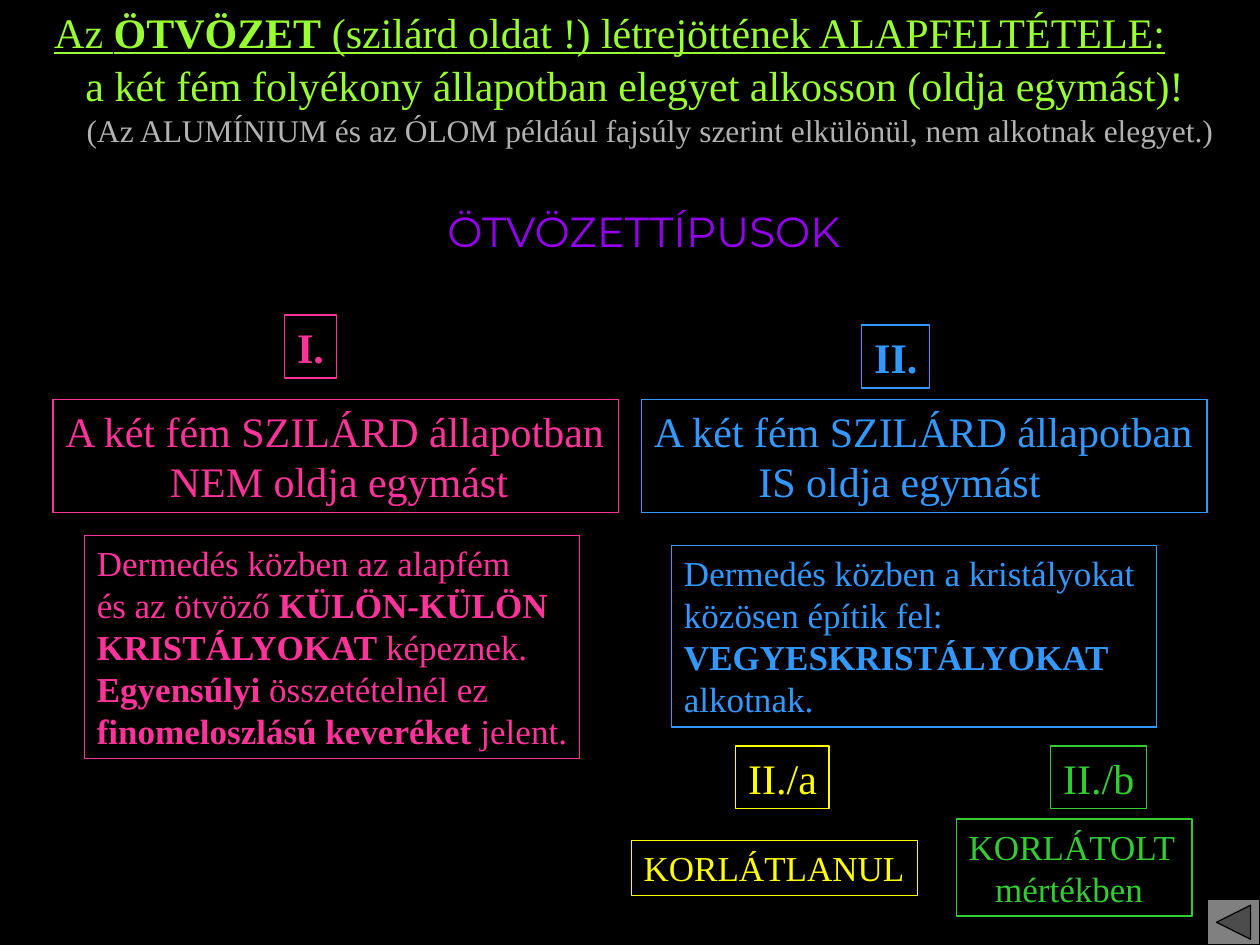
from pptx import Presentation
from pptx.dml.color import RGBColor
from pptx.enum.shapes import MSO_SHAPE
from pptx.enum.text import MSO_ANCHOR, MSO_AUTO_SIZE, PP_ALIGN
from pptx.util import Inches, Pt

THEME = {
    "background": "000000", "lime": "99FF33", "grey": "B2B2B2",
    "pink": "FF3399", "blue": "3399FF", "yellow": "FFFF00", "green": "33CC33",
    "violet": "9400ED", "deep_blue": "0000FF",
    "button": "808080", "button_line": "000000",
    "font": "Times New Roman", "heading_font": "Montserrat",
    "large": 24, "medium": 20, "small": 18, "line": 0.75,
}

# Text between ** marks is bold
TITLE = ["Az **ÖTVÖZET** (szilárd oldat !) létrejöttének ALAPFELTÉTELE:"]
TITLE_PLACE = (0.33, 0, 9.15, 0.5)
HEADING = ["ÖTVÖZETTÍPUSOK"]
HEADING_PLACE = (2.5, 1.58, 5.22, 0.71)
BUTTON_PLACE = (9.58, 7.14, 0.42, 0.36)

# Place, colour, size, lines
NOTES = [
    ((0.58, 0.42, 8.98, 0.5), "lime", "large",
     ["a két fém folyékony állapotban elegyet alkosson (oldja egymást)!"]),
    ((0.59, 0.83, 9.16, 0.4), "grey", "small",
     ["(Az ALUMÍNIUM és az ÓLOM például fajsúly szerint elkülönül, nem alkotnak elegyet.)"]),
]

# Place, colour, size, lines, indent of the second line
BOXES = [
    ((2.26, 2.5, 0.41, 0.5), "pink", "large", ["**I.**"], 0),
    ((0.42, 3.17, 4.49, 0.9), "pink", "large",
     ["A két fém SZILÁRD állapotban", "NEM oldja egymást"], 0.83),
    ((0.67, 4.25, 3.93, 1.77), "pink", "medium",
     ["Dermedés közben az alapfém",
      "és az ötvöző **KÜLÖN-KÜLÖN**",
      "**KRISTÁLYOKAT** képeznek.",
      "**Egyensúlyi** összetételnél ez",
      "**finomeloszlású keveréket** jelent."], 0),
    ((6.84, 2.58, 0.54, 0.5), "blue", "large", ["**II.**"], 0),
    ((5.09, 3.17, 4.49, 0.9), "blue", "large",
     ["A két fém SZILÁRD állapotban", "IS oldja egymást"], 0.83),
    ((5.33, 4.33, 3.85, 1.44), "blue", "medium",
     ["Dermedés közben a kristályokat", "közösen építik fel:",
      "**VEGYESKRISTÁLYOKAT**", "alkotnak."], 0),
    ((5.84, 5.92, 0.74, 0.5), "yellow", "large", ["II./a"], 0),
    ((5.01, 6.67, 2.27, 0.44), "yellow", "medium", ["KORLÁTLANUL"], 0),
    ((8.34, 5.92, 0.76, 0.5), "green", "large", ["II./b"], 0),
    ((7.59, 6.5, 1.87, 0.77), "green", "medium", ["KORLÁTOLT", "mértékben"], 0.21),
]


def color(name):
    return RGBColor.from_string(THEME[name])


def inches(place):
    return [Inches(length) for length in place]


def write(shape, lines, color_name, size, font="font", align=PP_ALIGN.LEFT, indent=0):
    frame = shape.text_frame
    frame.word_wrap = True
    frame.auto_size = MSO_AUTO_SIZE.NONE
    frame.vertical_anchor = MSO_ANCHOR.TOP
    frame.margin_left = Inches(0.1)
    # Left-aligned lines fit their boxes closely, so leave them slack on the right
    frame.margin_right = 0 if align == PP_ALIGN.LEFT else Inches(0.1)
    frame.margin_top = frame.margin_bottom = Inches(0.05)
    for index, line in enumerate(lines):
        paragraph = frame.paragraphs[0] if index == 0 else frame.add_paragraph()
        paragraph.alignment = align
        if index == 1 and indent:
            paragraph._p.get_or_add_pPr().set("marL", str(Inches(indent)))
        for position, part in enumerate(line.split("**")):
            if part:
                run = paragraph.add_run()
                run.text = part
                run.font.name = THEME[font]
                run.font.size = Pt(THEME[size])
                run.font.bold = position % 2 == 1
                run.font.color.rgb = color(color_name)


def add_box(slide, place, color_name, size, lines, indent):
    box = slide.shapes.add_shape(MSO_SHAPE.RECTANGLE, *inches(place))
    box.shadow.inherit = False
    box.fill.background()
    box.line.color.rgb = color(color_name)
    box.line.width = Pt(THEME["line"])
    write(box, lines, color_name, size, indent=indent)


def main():
    presentation = Presentation()
    presentation.slide_width, presentation.slide_height = Inches(10), Inches(7.5)
    slide = presentation.slides.add_slide(presentation.slide_layouts[5])
    slide.background.fill.solid()
    slide.background.fill.fore_color.rgb = color("background")

    # Title
    title = slide.shapes.title
    title.left, title.top, title.width, title.height = inches(TITLE_PLACE)
    write(title, TITLE, "lime", "large")
    for run in title.text_frame.paragraphs[0].runs:
        run.font.underline = True

    # Lines below the title
    for place, color_name, size, lines in NOTES:
        write(slide.shapes.add_textbox(*inches(place)), lines, color_name, size)

    # Heading with a gradient
    heading = slide.shapes.add_textbox(*inches(HEADING_PLACE))
    write(heading, HEADING, "violet", "large", "heading_font", PP_ALIGN.CENTER)
    fill = heading.text_frame.paragraphs[0].runs[0].font.fill
    fill.gradient()
    fill.gradient_angle = 180
    for stop, name in zip(fill.gradient_stops, ("violet", "deep_blue")):
        stop.color.rgb = color(name)

    # Alloy types
    for box in BOXES:
        add_box(slide, *box)

    # Back button
    button = slide.shapes.add_shape(
        MSO_SHAPE.ACTION_BUTTON_BACK_OR_PREVIOUS, *inches(BUTTON_PLACE))
    button.shadow.inherit = False
    button.fill.solid()
    button.fill.fore_color.rgb = color("button")
    button.line.color.rgb = color("button_line")
    button.line.width = Pt(THEME["line"])

    presentation.save("out.pptx")


if __name__ == "__main__":
    main()
